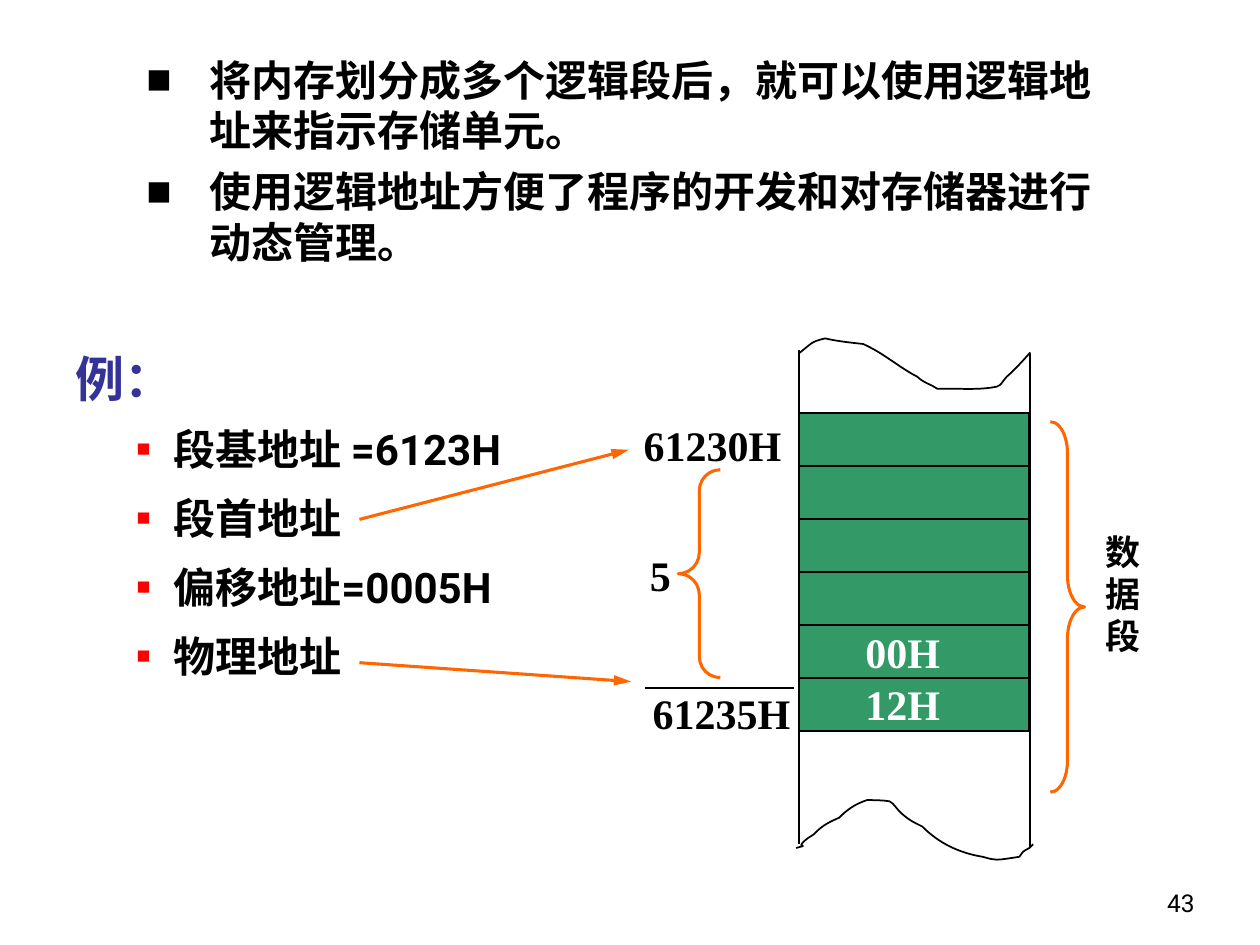
"""Build the slide on logical addresses and a data segment in memory."""
import pptx
import pptx.dml.color
import pptx.enum.shapes
import pptx.enum.text
import pptx.oxml
import pptx.oxml.ns
import pptx.util

Pt = pptx.util.Pt
RGBColor = pptx.dml.color.RGBColor
SHAPES = pptx.enum.shapes.MSO_SHAPE
ALIGN = pptx.enum.text.PP_ALIGN
ANCHOR = pptx.enum.text.MSO_ANCHOR

BLACK = RGBColor(0x00, 0x00, 0x00)
WHITE = RGBColor(0xFF, 0xFF, 0xFF)
GREEN = RGBColor(0x33, 0x99, 0x66)
ORANGE = RGBColor(0xFF, 0x66, 0x00)
NAVY = RGBColor(0x33, 0x33, 0x99)
RED = RGBColor(0xFF, 0x00, 0x00)

SANS = "Roboto"
SERIF = "Times New Roman"
CHINESE = "Noto Sans CJK SC"

CELL_LEFT, CELL_TOP, CELL_WIDTH, CELL_HEIGHT = 456.4, 236, 131.8, 30.3
CELL_COUNT = 6

TOP_TEAR = [
    (456.5, 202), (457.9, 200.9), (463, 196.6), (464.4, 195.8),
    (466.6, 194.4), (471.6, 193.4), (471.6, 193.4),
    (478.8, 195.1), (486, 195.8), (493.2, 196.6),
    (504.7, 201.6), (514.1, 210.2), (524.2, 215.3),
    (527.8, 218.9), (532.1, 219.6), (535.7, 222.2),
    (547.2, 221.8), (558.7, 223.2), (569.5, 221),
    (572.4, 220.3), (573.1, 217.4), (575.3, 215.3),
    (580.3, 211), (584.6, 206), (588.8, 201.4),
]
BOTTOM_TEAR = [
    (455, 484.6), (464.4, 481.7), (453.6, 486), (460.1, 480.2),
    (462.2, 478.1), (465.1, 477.4), (466.6, 475.2),
    (470.2, 471.6), (474.5, 469.4), (479.5, 467.3),
    (484.6, 462.2), (488.9, 459.4), (495.4, 457.2),
    (499.7, 457.2), (504, 457.2), (508.3, 457.9),
    (510.5, 458.6), (513.4, 463.7), (515.5, 465.1),
    (520.6, 469.4), (521.3, 469.4), (527, 472.3),
    (536.4, 481.7), (547.9, 487.4), (561.6, 489.6),
    (569.5, 491.8), (568.1, 491.8), (582.5, 489.6),
    (583.2, 488.9), (583.9, 487.4), (584.6, 486.7),
    (585.4, 486), (586.8, 485.3), (588.2, 484.6),
    (589, 483.8), (590.4, 482.4), (590.4, 482.4),
]


def add_child(parent, tag, **attributes):
    """Append a DrawingML element to a parent."""
    child = pptx.oxml.parse_xml(f"<a:{tag} {pptx.oxml.ns.nsdecls('a')}/>")
    for key, value in attributes.items():
        child.set(key, str(value))
    parent.append(child)
    return child


def set_font(paragraph, size, color=BLACK, latin=SANS, bold=True):
    """Format all text of a paragraph."""
    font = paragraph.font
    font.size, font.bold = Pt(size), bold
    font.color.rgb = color
    font.name = latin
    add_child(paragraph._p.get_or_add_pPr().get_or_add_defRPr(), "ea", typeface=CHINESE)


def set_bullet(paragraph, margin, hanging, color, percent):
    """Give a paragraph a square bullet with a hanging indent."""
    properties = paragraph._p.get_or_add_pPr()
    properties.set("marL", str(Pt(margin)))
    properties.set("indent", str(-Pt(hanging)))
    add_child(add_child(properties, "buClr"), "srgbClr", val=color)
    add_child(properties, "buSzPct", val=percent * 1000)
    add_child(properties, "buFont", typeface=SERIF)
    add_child(properties, "buChar", char="■")


def add_text(slide, left, top, width, height, lines):
    """Add a wrapping text box and return its paragraphs."""
    frame = slide.shapes.add_textbox(Pt(left), Pt(top), Pt(width), Pt(height)).text_frame
    frame.word_wrap = True
    frame.text = "\n".join(lines)
    return frame.paragraphs


def add_label(slide, text, left, top, width, height=36, size=24, color=BLACK):
    """Add a bold one-paragraph label."""
    set_font(add_text(slide, left, top, width, height, [text])[0], size, color, SERIF)


def set_outline(shape, color, weight):
    """Set an outline and drop the shadow of a shape."""
    shape.shadow.inherit = False
    shape.line.color.rgb = color
    shape.line.width = Pt(weight)


def add_line(slide, start, end, color=BLACK, weight=1, arrow=False):
    """Add a straight line, optionally with an arrowhead at its end."""
    line = slide.shapes.add_connector(
        pptx.enum.shapes.MSO_CONNECTOR.STRAIGHT, *map(Pt, start + end))
    line.line.color.rgb = color
    line.line.width = Pt(weight)
    if arrow:
        add_child(line.line._get_or_add_ln(), "tailEnd", type="triangle", len="lg")
    add_child(line._element.spPr, "effectLst")


def add_brace(slide, kind, left, top, width, height, curl):
    """Add an orange brace."""
    brace = slide.shapes.add_shape(kind, Pt(left), Pt(top), Pt(width), Pt(height))
    brace.adjustments[0] = curl
    brace.fill.background()
    set_outline(brace, ORANGE, 1.75)


def add_tear(slide, controls):
    """Add a torn edge as a chain of cubic Bezier curves."""
    points = [(Pt(x), Pt(y)) for x, y in controls]
    builder = slide.shapes.build_freeform(*points[0])
    builder.add_line_segments(points[3::3], close=False)
    tear = builder.convert_to_shape()
    for index, segment in enumerate(tear._element.xpath(".//a:lnTo")):
        curve = add_child(segment.getparent(), "cubicBezTo")
        for x, y in points[3 * index + 1:3 * index + 4]:
            add_child(curve, "pt", x=x - tear.left, y=y - tear.top)
        segment.getparent().replace(segment, curve)
    tear.fill.background()
    set_outline(tear, BLACK, 1)


def add_memory(slide):
    """Draw the memory column with its cells and torn ends."""
    for row in range(CELL_COUNT):
        cell = slide.shapes.add_shape(
            SHAPES.RECTANGLE, Pt(CELL_LEFT), Pt(CELL_TOP + row * CELL_HEIGHT),
            Pt(CELL_WIDTH), Pt(CELL_HEIGHT))
        cell.fill.solid()
        cell.fill.fore_color.rgb = GREEN
        set_outline(cell, BLACK, 1)
    add_line(slide, (456.4, 200), (456.4, 482.4))
    add_line(slide, (588.7, 202.3), (588.7, 484.6))
    add_tear(slide, TOP_TEAR)
    add_tear(slide, BOTTOM_TEAR)
    add_label(slide, "00H", 487.4, 354.5, 66, color=WHITE)
    add_label(slide, "12H", 487.4, 384.1, 66, color=WHITE)


def add_addresses(slide):
    """Mark addresses, offset and segment beside the memory column."""
    add_label(slide, "61230H", 360.7, 236.2, 96)
    add_label(slide, "61235H", 365.8, 389.5, 96)
    add_label(slide, "5", 364.3, 310.3, 32)
    add_label(slide, "数据段", 624.6, 299.5, 36, 79, size=20)
    add_line(slide, (368.6, 393.1), (453.9, 393.1))
    add_line(slide, (205.4, 296.8), (359.3, 257), ORANGE, 1.75, arrow=True)
    add_line(slide, (205.4, 378.7), (360.7, 389.5), ORANGE, 1.75, arrow=True)
    add_brace(slide, SHAPES.LEFT_BRACE, 387.6, 268.4, 24, 118.8, 0.5)
    add_brace(slide, SHAPES.RIGHT_BRACE, 600.2, 241, 19.6, 211.7, 0.92)


def add_statements(slide):
    """Write the two statements at the top."""
    for statement in add_text(slide, 76.6, 27.6, 563, 129.6, [
            "将内存划分成多个逻辑段后，就可以使用逻辑地址来指示存储单元。",
            "使用逻辑地址方便了程序的开发和对存储器进行动态管理。"]):
        set_bullet(statement, 36, 36, BLACK, 100)
        statement.space_before = Pt(6)
        set_font(statement, 24)


def add_example(slide):
    """Write the example heading and its address terms."""
    heading, *terms = add_text(slide, 36, 189, 303, 272, [
        "例：", "段基地址 =6123H", "段首地址", "偏移地址=0005H", "物理地址"])
    heading.line_spacing = 1.2
    set_font(heading, 28, NAVY, CHINESE)
    for term in terms:
        term.level = 1
        set_bullet(term, 56, 21, RED, 55)
        term.line_spacing = 1.2
        term.space_before, term.space_after = Pt(3.6), Pt(1.2)
        set_font(term, 24)


def add_page_number(slide):
    """Write the page number in the lower right corner."""
    number = add_text(slide, 540, 491.8, 149.8, 36, ["43"])[0]
    number._parent.vertical_anchor = ANCHOR.BOTTOM
    number.alignment = ALIGN.RIGHT
    set_font(number, 14, bold=False)


def main():
    """Build and save the presentation."""
    deck = pptx.Presentation()
    deck.slide_width, deck.slide_height = Pt(720), Pt(540)
    slide = deck.slides.add_slide(deck.slide_layouts[6])
    add_page_number(slide)
    add_example(slide)
    add_memory(slide)
    add_addresses(slide)
    add_statements(slide)
    deck.save("out.pptx")


if __name__ == "__main__":
    main()
